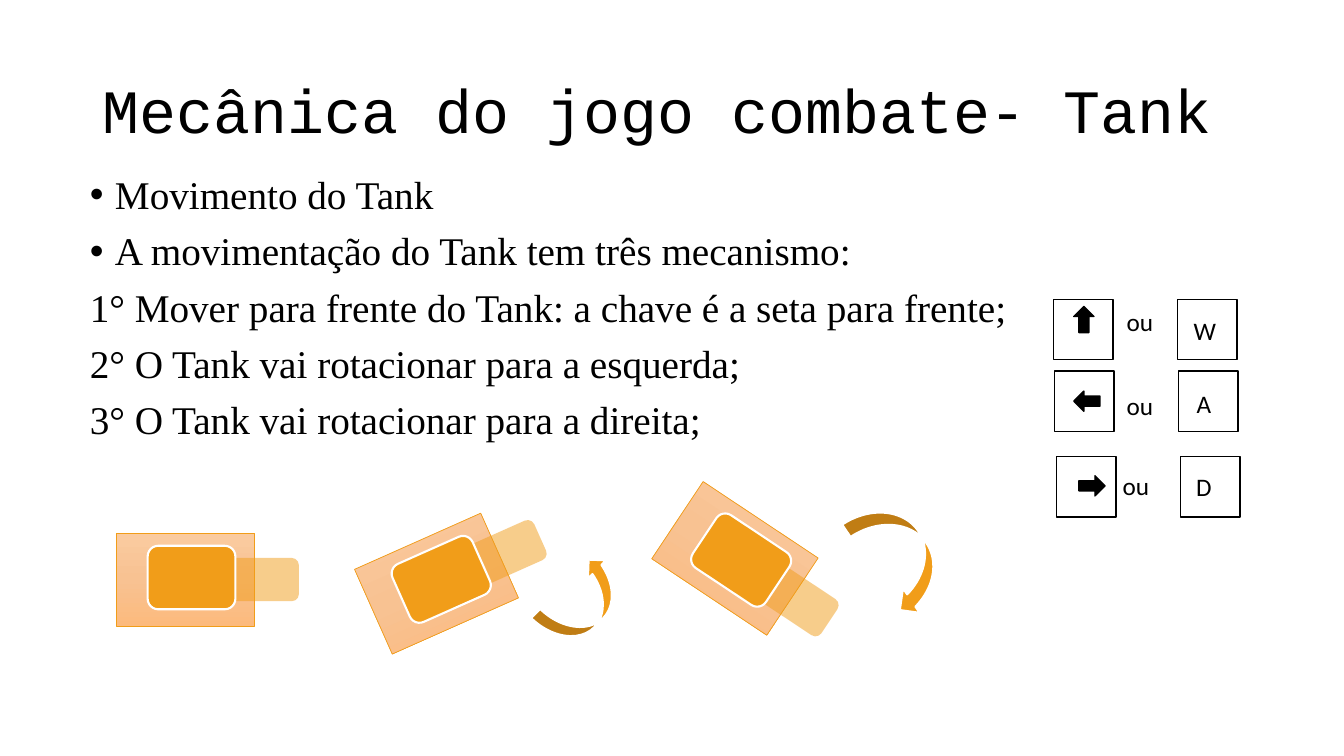
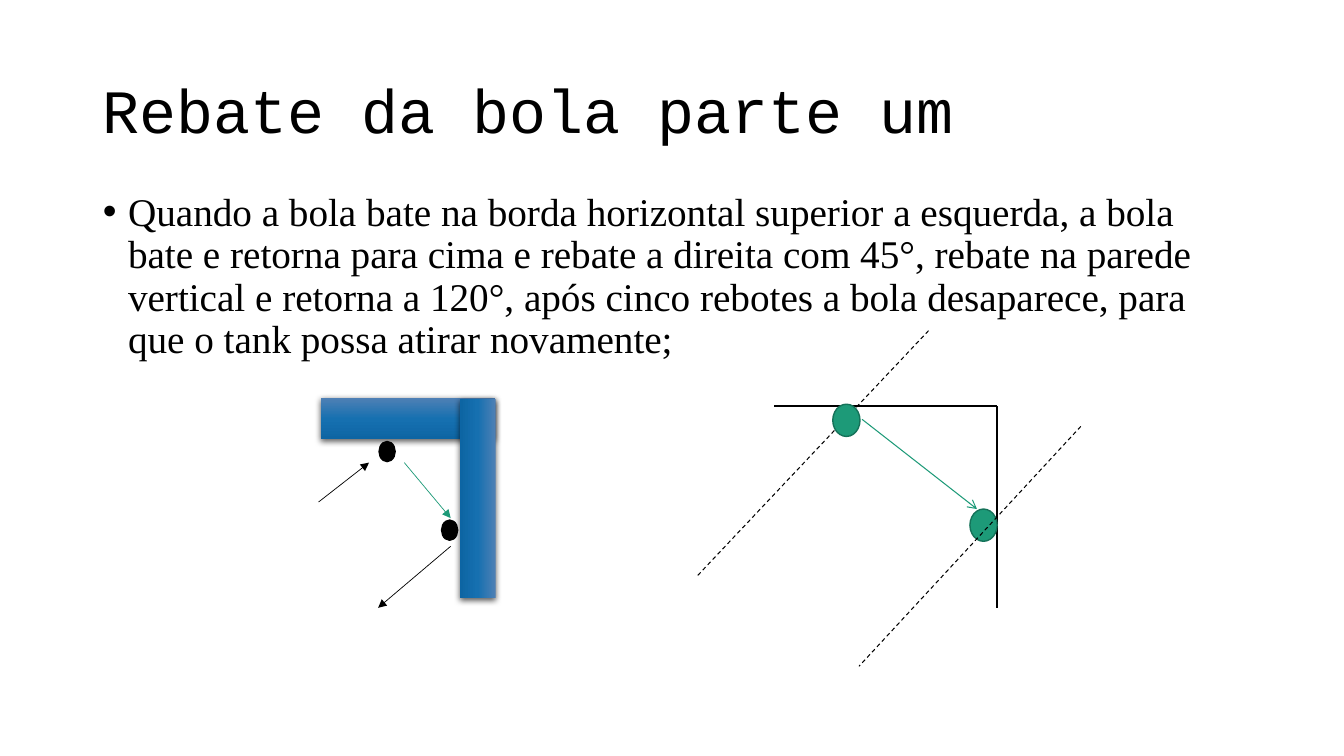
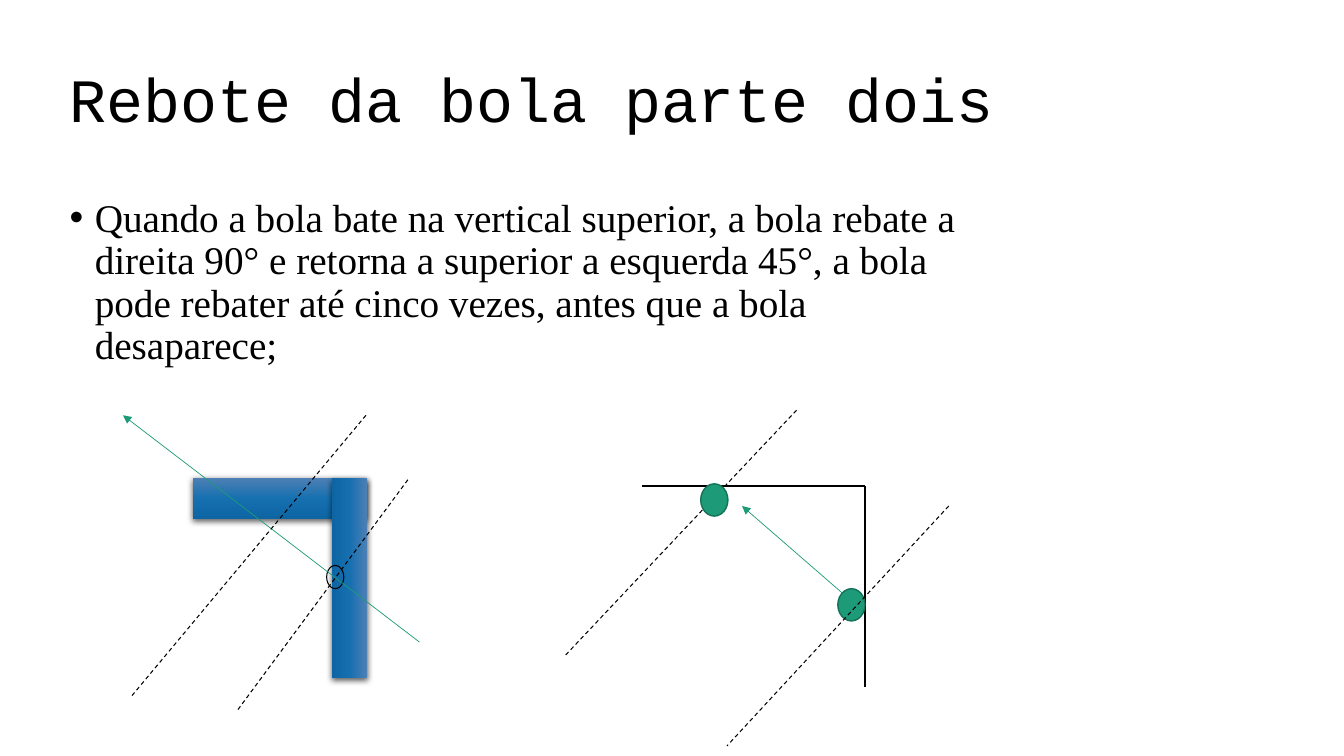
import dataclasses
import math

import lxml.etree
import pptx
import pptx.dml.color
import pptx.enum.dml
import pptx.enum.shapes
import pptx.enum.text
import pptx.oxml.ns
import pptx.util

PX = 9144
Pt = pptx.util.Pt
qn = pptx.oxml.ns.qn
SHAPE = pptx.enum.shapes.MSO_SHAPE


@dataclasses.dataclass(frozen=True)
class Theme:
    ink: str = "000000"
    paper: str = "FFFFFF"
    orange: str = "F19D19"
    green: str = "1D9A78"
    green_edge: str = "157259"
    hull: tuple = ("FACBA0", "F8C292", "FCBA7D")
    wall: tuple = ("4E80B5", "1670B0", "0D65A3")
    title_font: str = "Courier New"
    body_font: str = "Times New Roman"
    key_font: str = "Calibri"
    title_size: int = 44
    body_size: int = 28
    key_size: int = 18


T = Theme()


def px(*values):
    return [round(v * PX) for v in values]


def rgb(color):
    return pptx.dml.color.RGBColor.from_string(color)


def sub(parent, tag, **attrs):
    el = lxml.etree.SubElement(parent, qn(tag))
    for name, value in attrs.items():
        el.set(name, str(value))
    return el


def style_font(p, name, size):
    p.font.name = name
    p.font.size = Pt(size)
    p.font.color.rgb = rgb(T.ink)


def set_gradient(sp, colors):
    sp.fill.gradient()
    sp.fill.gradient_angle = 270
    stops = sp._element.spPr.find(".//" + qn("a:gsLst"))
    for stop in list(stops):
        stops.remove(stop)
    for i, color in enumerate(colors):
        sub(sub(stops, "a:gs", pos=i * 50000), "a:srgbClr", val=color)


def add_shape(shapes, kind, box, fill=None, line=None, width=1, rot=0):
    sp = shapes.add_shape(kind, *px(*box))
    sp.rotation = rot
    sp.shadow.inherit = False
    if isinstance(fill, tuple):
        set_gradient(sp, fill)
    elif fill:
        sp.fill.solid()
        sp.fill.fore_color.rgb = rgb(fill)
    else:
        sp.fill.background()
    if line:
        sp.line.color.rgb = rgb(line)
        sp.line.width = Pt(width)
    else:
        sp.line.fill.background()
    return sp


def add_line(shapes, x, y, start, end, color=T.ink, width=0.75, dash=False, head=None):
    ends = px(x + start[0], y + start[1], x + end[0], y + end[1])
    line = shapes.add_connector(pptx.enum.shapes.MSO_CONNECTOR.STRAIGHT, *ends)
    line.line.color.rgb = rgb(color)
    line.line.width = Pt(width)
    if dash:
        line.line.dash_style = pptx.enum.dml.MSO_LINE.DASH
    if head:
        sub(line._element.spPr.find(qn("a:ln")), "a:tailEnd", type=head)
    sub(line._element.spPr, "a:effectLst")


def add_label(shapes, box, text):
    tf = shapes.add_textbox(*px(*box)).text_frame
    tf.word_wrap = False
    p = tf.paragraphs[0]
    p.text = text
    p.alignment = pptx.enum.text.PP_ALIGN.CENTER
    style_font(p, T.key_font, T.key_size)


def place(ph, box):
    ph.left, ph.top, ph.width, ph.height = px(*box)
    tf = ph.text_frame
    tf.auto_size = pptx.enum.text.MSO_AUTO_SIZE.NONE
    return tf


def set_bullet(p, bulleted):
    pPr = p._p.get_or_add_pPr()
    indent = 25 * PX if bulleted else 0
    pPr.set("marL", str(indent))
    pPr.set("indent", str(-indent))
    if bulleted:
        sub(pPr, "a:buChar", char="•")
    else:
        sub(pPr, "a:buNone")


def content_slide(prs, title, title_box, bullets, body_box, plain=()):
    s = prs.slides.add_slide(prs.slide_layouts[1])
    tf = place(s.shapes.title, title_box)
    tf.vertical_anchor = pptx.enum.text.MSO_ANCHOR.MIDDLE
    p = tf.paragraphs[0]
    p.text = title
    p.alignment = pptx.enum.text.PP_ALIGN.LEFT
    p.line_spacing = 0.9
    style_font(p, T.title_font, T.title_size)

    tf = place(s.placeholders[1], body_box)
    for i, text in enumerate([*bullets, *plain]):
        p = tf.add_paragraph() if i else tf.paragraphs[0]
        p.text = text
        p.line_spacing = 0.9
        p.space_before = Pt(10)
        set_bullet(p, i < len(bullets))
        style_font(p, T.body_font, T.body_size)
    return s


def tank(s, cx, cy, rot=0, turn=None):
    shapes = s.shapes.add_group_shape().shapes
    cos, sin = math.cos(math.radians(rot)), math.sin(math.radians(rot))

    def part(kind, dx, dy, w, h, fill, line=None, width=1):
        x = cx + dx * cos - dy * sin - w / 2
        y = cy + dx * sin + dy * cos - h / 2
        return add_shape(shapes, kind, (x, y, w, h), fill, line, width, rot)

    part(SHAPE.RECTANGLE, 0, 0, 137, 92, T.hull, T.orange, 0.5)
    barrel = part(SHAPE.ROUNDED_RECTANGLE, 69, 0, 87, 43, T.orange)
    sub(barrel._element.spPr.find(".//" + qn("a:srgbClr")), "a:alpha", val=50000)
    part(SHAPE.ROUNDED_RECTANGLE, 6, -2, 87, 63, T.orange, T.paper, 1.5)
    if turn:
        kind, dx, dy, w, h, turn_rot = turn
        add_shape(shapes, kind, (cx + dx, cy + dy, w, h), T.orange, T.paper, 1.5, turn_rot)


def key_row(shapes, x, y, arrow, arrow_rot, ou, letter, letter_at):
    for dx in (0, 123):
        add_shape(shapes, SHAPE.RECTANGLE, (x + dx, y, 59, 60), T.paper, T.ink)
    box = (x + arrow[0] - 10, y + arrow[1] - 13, 20, 26)
    add_shape(shapes, SHAPE.UP_ARROW, box, T.ink, T.ink, 1, arrow_rot)
    add_label(shapes, (x + ou[0], y + ou[1], 47, 40), "ou")
    add_label(shapes, (x + letter_at[0], y + letter_at[1], 42, 40), letter)


def keyboard(s, x, y):
    shapes = s.shapes.add_group_shape().shapes
    key_row(shapes, x, y, (30, 20), 0, (62, 2), "W", (129, 11))
    key_row(shapes, x + 1, y + 71, (32, 30), 270, (61, 14), "A", (127, 12))
    key_row(shapes, x + 3, y + 156, (35, 29), 90, (55, 9), "D", (125, 10))


def wall_corner(shapes, x, y):
    for box, rot in (((x, y, 173, 41), 0), ((x + 57, y + 82, 198, 35), 90)):
        sp = add_shape(shapes, SHAPE.RECTANGLE, box, T.wall, rot=rot)
        effects = sp._element.spPr.find(qn("a:effectLst"))
        shadow = sub(effects, "a:outerShdw", blurRad=Pt(4.5), dist=Pt(1.5),
                     dir=5400000, algn="ctr", rotWithShape=0)
        sub(sub(shadow, "a:srgbClr", val=T.ink), "a:alpha", val=63000)


def bounce_diagram(s, x, y, start, end, width, head):
    shapes = s.shapes
    add_line(shapes, x, y, (0, 0), (221, 0), width=1.5)
    add_line(shapes, x, y, (221, 0), (221, 200), width=1.5)
    add_line(shapes, x, y, (153, -75), (-78, 170), dash=True)
    for dx, dy in ((58, -2), (194, 102)):
        box = (x + dx, y + dy, 27, 32)
        add_shape(shapes, SHAPE.OVAL, box, T.green, T.green_edge)
    add_line(shapes, x, y, (304, 20), (84, 258), dash=True)
    add_line(shapes, x, y, start, end, T.green, width, head=head)


def ball_path(s, x, y):
    shapes = s.shapes
    wall_corner(shapes, x, y)
    for dx, dy in ((58, 43), (120, 121)):
        add_shape(shapes, SHAPE.OVAL, (x + dx, y + dy, 16, 20), T.ink, T.ink)
    for start, end, color in (((-2, 103), (48, 64), T.ink),
                              ((83, 64), (129, 119), T.green),
                              ((129, 147), (57, 208), T.ink)):
        add_line(shapes, x, y, start, end, color, 0.5, head="triangle")


def ball_through_wall(s, x, y):
    shapes = s.shapes.add_group_shape().shapes
    wall_corner(shapes, x, y)
    add_shape(shapes, SHAPE.OVAL, (x + 133, y + 87, 17, 23), None, T.ink, 0.75)
    add_line(shapes, x, y, (45, 230), (215, 0), dash=True)
    add_line(shapes, x, y, (225, 163), (-69, -62), T.green, 0.5, head="triangle")
    add_line(shapes, x, y, (172, -62), (-60, 216), dash=True)


def tank_slide(prs):
    s = content_slide(
        prs, "Mecânica do jogo combate- Tank", (92, 40, 1150, 145),
        ["Movimento do Tank", "A movimentação do Tank tem três mecanismo:"],
        (79, 169, 1150, 476),
        ["1° Mover para frente do Tank: a chave é a seta para frente;",
         "2° O Tank vai rotacionar para a esquerda;",
         "3° O Tank vai rotacionar para a direita;"])
    tank(s, 184, 575)
    tank(s, 433, 579, 336, (SHAPE.CURVED_UP_ARROW, 98, -7, 94, 51, 314.5))
    tank(s, 729, 554, 33.6, (SHAPE.CURVED_DOWN_ARROW, 105, -31, 117, 59, 56))
    keyboard(s, 1045, 297)


def first_bounce_slide(prs):
    s = content_slide(
        prs, "Rebate da bola parte um", (92, 40, 1150, 145),
        ["Quando a bola bate na borda horizontal superior a esquerda, a bola "
         "bate e retorna para cima e rebate a direita com 45°, rebate na parede "
         "vertical e retorna a 120°, após cinco rebotes a bola desaparece, para "
         "que o tank possa atirar novamente;"],
        (92, 186, 1150, 179))
    ball_path(s, 318, 395)
    bounce_diagram(s, 768, 403, (87, 13), (201, 102), 0.75, "arrow")


def second_bounce_slide(prs):
    s = content_slide(
        prs, "Rebote da bola parte dois", (59, 29, 1150, 145),
        ["Quando a bola bate na vertical superior, a bola rebate a direita 90° e "
         "retorna a superior a esquerda 45°, a bola pode rebater até cinco "
         "vezes, antes que a bola desaparece;"],
        (59, 192, 912, 476))
    ball_through_wall(s, 191, 474)
    bounce_diagram(s, 637, 482, (198, 106), (99, 20), 0.5, "triangle")


def main():
    prs = pptx.Presentation()
    prs.slide_width, prs.slide_height = px(1333, 750)
    tank_slide(prs)
    first_bounce_slide(prs)
    second_bounce_slide(prs)
    prs.save("out.pptx")


if __name__ == "__main__":
    main()
